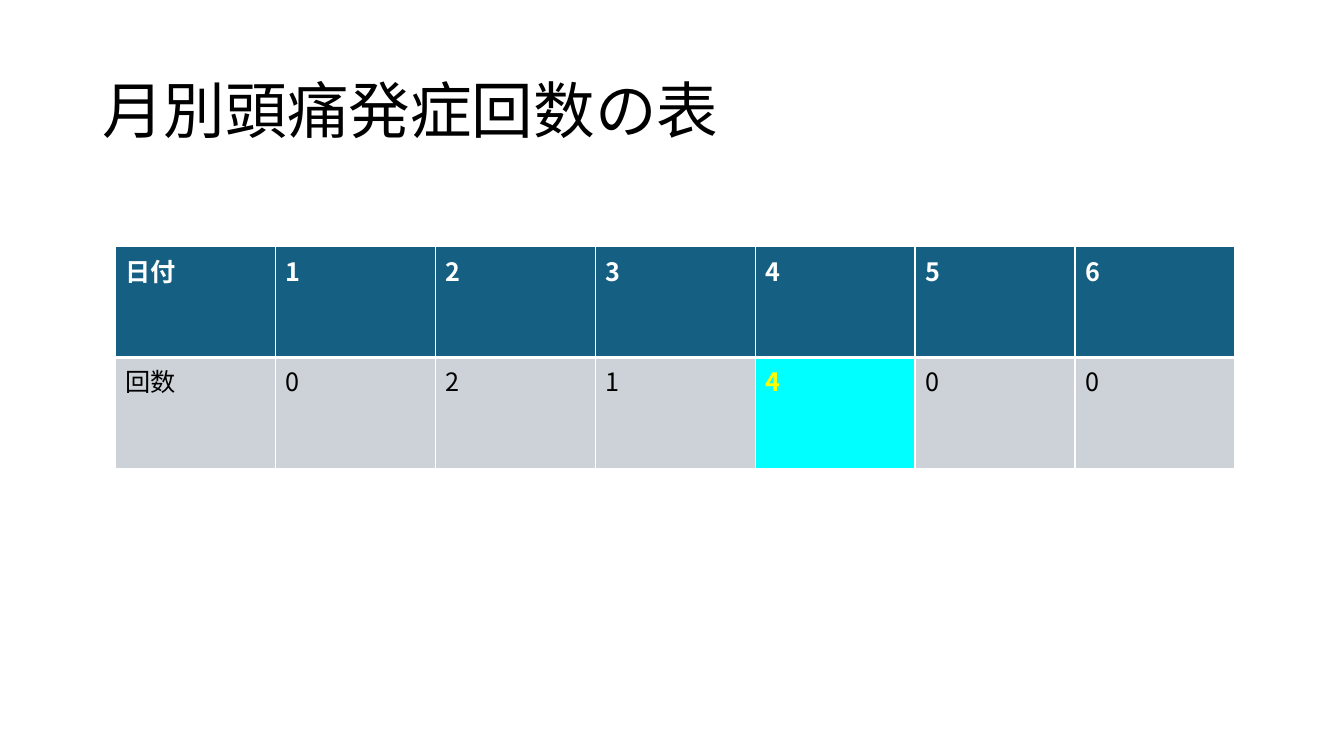
import pptx
import pptx.util
import pptx.dml.color
import pptx.enum.text
import pptx.oxml
import pptx.oxml.ns
from lxml import etree
from pptx.util import Cm

# Content
TITLE = "月別頭痛発症回数の表"
ROWS = [
    ["日付", "1", "2", "3", "4", "5", "6"],
    ["回数", "0", "2", "1", "4", "0", "0"],
]
PEAK = (1, 4)  # row and column of the highlighted count

THEME = {
    "font": "Noto Sans CJK JP",
    "title_size": 44,
    "cell_size": 18,
    "title": "000000",
    "border": "FFFFFF",
    # fill, text colour, bold
    "header": ("156082", "FFFFFF", True),
    "body": ("CCD2D8", "000000", False),
    "peak": ("00FFFF", "FFFF00", True),
}

# Layout
TITLE_BOX = (Cm(2.33), Cm(1.01), Cm(29.21), Cm(3.68))
TABLE_LEFT, TABLE_TOP = Cm(2.91), Cm(6.22)
COL_WIDTH, ROW_HEIGHT = Cm(4.03), Cm(2.79)
THIN, THICK = 1, 3


def rgb(code):
    return pptx.dml.color.RGBColor.from_string(code)


def style(p, size, color, bold=False):
    f = p.font
    f.name, f.size, f.bold = THEME["font"], pptx.util.Pt(size), bold
    f.color.rgb = rgb(color)
    props = p._p.pPr.find(pptx.oxml.ns.qn("a:defRPr"))
    ea = etree.SubElement(props, pptx.oxml.ns.qn("a:ea"))
    ea.set("typeface", THEME["font"])


def set_borders(cell, widths):
    props = cell._tc.get_or_add_tcPr()
    for i, (side, width) in enumerate(widths.items()):
        props.insert(i, pptx.oxml.parse_xml(
            f'<a:ln{side} {pptx.oxml.ns.nsdecls("a")} w="{pptx.util.Pt(width)}">'
            f'<a:solidFill><a:srgbClr val="{THEME["border"]}"/></a:solidFill>'
            f'</a:ln{side}>'))


prs = pptx.Presentation()
prs.slide_width, prs.slide_height = Cm(33.87), Cm(19.05)
s = prs.slides.add_slide(prs.slide_layouts[6])

# Title
tf = s.shapes.add_textbox(*TITLE_BOX).text_frame
tf.word_wrap = True
tf.vertical_anchor = pptx.enum.text.MSO_ANCHOR.MIDDLE
p = tf.paragraphs[0]
p.text = TITLE
p.line_spacing = 0.9
style(p, THEME["title_size"], THEME["title"])

# Table of counts
n_rows, n_cols = len(ROWS), len(ROWS[0])
table = s.shapes.add_table(n_rows, n_cols, TABLE_LEFT, TABLE_TOP,
                           COL_WIDTH * n_cols, ROW_HEIGHT * n_rows).table
table.first_row = table.horz_banding = False
for column in table.columns:
    column.width = COL_WIDTH
for row in table.rows:
    row.height = ROW_HEIGHT

for r, values in enumerate(ROWS):
    for c, value in enumerate(values):
        kind = "header" if r == 0 else "peak" if (r, c) == PEAK else "body"
        fill, color, bold = THEME[kind]
        cell = table.cell(r, c)
        cell.text = value
        style(cell.text_frame.paragraphs[0], THEME["cell_size"], color, bold)
        cell.fill.solid()
        cell.fill.fore_color.rgb = rgb(fill)
        set_borders(cell, {"L": THIN, "R": THIN,
                           "T": THIN if r == 0 else THICK,
                           "B": THICK if r == 0 else THIN})

prs.save("out.pptx")
